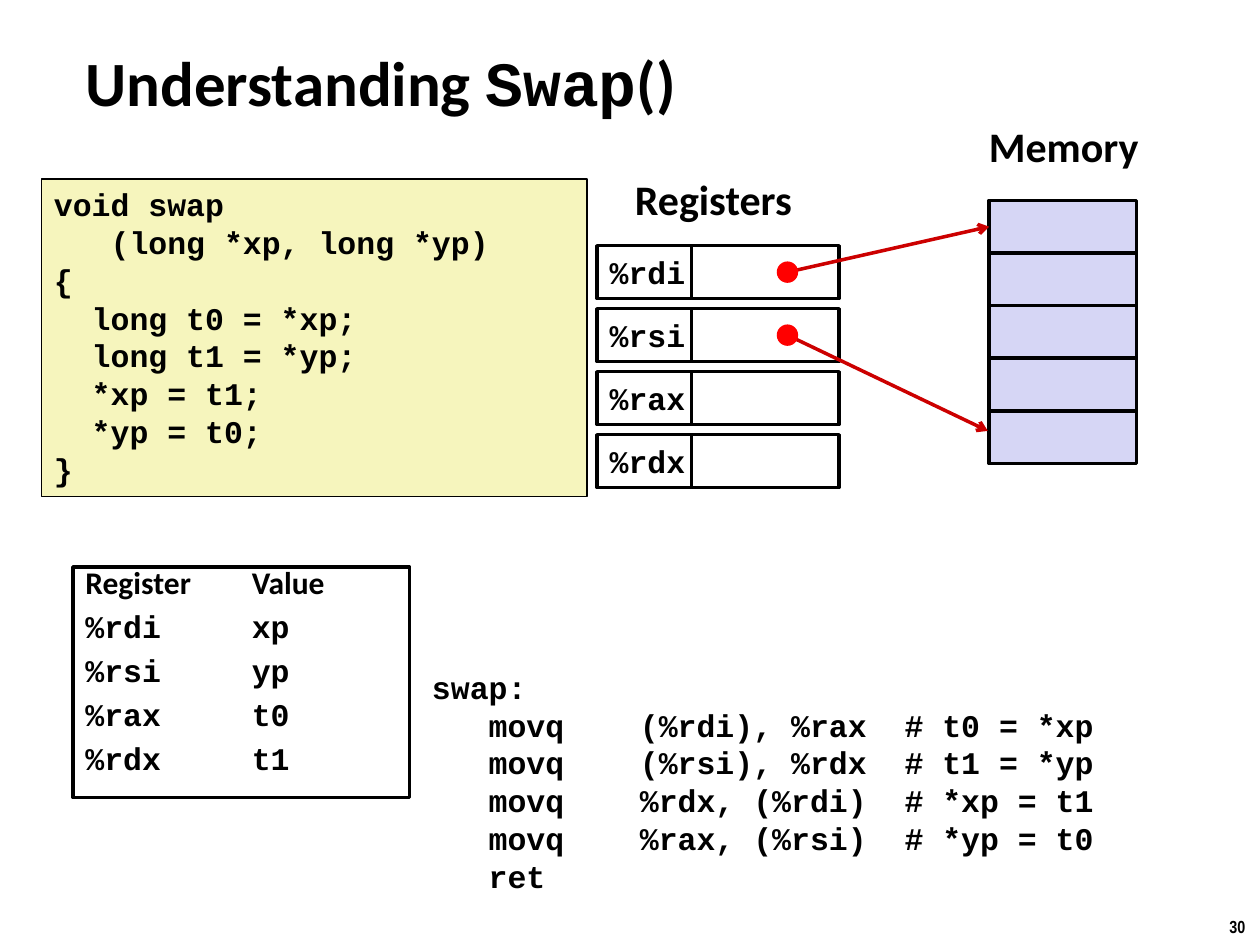
"""Build the slide that explains swap() through registers and memory."""
from lxml import etree
from pptx import Presentation
from pptx.dml.color import RGBColor
from pptx.enum.shapes import MSO_CONNECTOR, MSO_SHAPE
from pptx.enum.text import MSO_ANCHOR, PP_ALIGN
from pptx.oxml.ns import qn
from pptx.util import Inches, Pt

RECT, OVAL, LINE = MSO_SHAPE.RECTANGLE, MSO_SHAPE.OVAL, MSO_CONNECTOR.STRAIGHT
TOP, MIDDLE, LEFT = MSO_ANCHOR.TOP, MSO_ANCHOR.MIDDLE, PP_ALIGN.LEFT
SANS, MONO, SMALL = "Calibri", "Courier New", "Arial Narrow"
BLACK, WHITE, CREAM, LILAC = "000000", "FFFFFF", "F6F5BD", "D6D6F5"
RED, ROSE = "FF0000", "CC0000"

TITLE = [("Understanding ", SANS), ("Swap", MONO), ("()", SANS)]
CODE = [
    "void swap",
    "   (long *xp, long *yp)",
    "{",
    "  long t0 = *xp;",
    "  long t1 = *yp;",
    "  *xp = t1;",
    "  *yp = t0;",
    "}",
]
ASM = [
    "swap:",
    "   movq    (%rdi), %rax  # t0 = *xp",
    "   movq    (%rsi), %rdx  # t1 = *yp",
    "   movq    %rdx, (%rdi)  # *xp = t1",
    "   movq    %rax, (%rsi)  # *yp = t0",
    "   ret",
]
HEAD = ("Register", "Value")
ROLES = [("%rdi", "xp"), ("%rsi", "yp"), ("%rax", "t0"), ("%rdx", "t1")]
LABELS = [
    ("Memory", (7.75, 0.91, 1.4, 0.5), SANS, 24),
    ("Registers", (4.94, 1.33, 1.48, 0.5), SANS, 24),
    ("30", (9.66, 7.22, 0.34, 0.27), SMALL, 10),
]
CELLS, CELL_H, CELL_W = 5, 0.42, 1.17
REG_X, REG_Y, REG_W, REG_STEP = 4.74, 1.95, 0.75, 0.5
MEM_X, MEM_Y, MEM_H = 7.85, 1.59, 2.09
DOT_X, DOT = 6.25, 0.17


def color(code):
    return RGBColor.from_string(code)


def inches(box):
    return [Inches(n) for n in box]


def write(frame, lines, size, wrap=True, anchor=TOP):
    """Fill a text frame with lines, each a list of (text, font) runs."""
    frame.word_wrap = wrap
    frame.vertical_anchor = anchor
    for i, line in enumerate(lines):
        para = frame.add_paragraph() if i else frame.paragraphs[0]
        para.alignment = LEFT
        for text, face in line:
            run = para.add_run()
            run.text = text
            font = run.font
            font.name, font.size, font.bold = face, Pt(size), True
            font.color.rgb = color(BLACK)


def add_box(slide, box, fill=None, line=BLACK, width=2, kind=RECT):
    shape = slide.shapes.add_shape(kind, *inches(box))
    shape.shadow.inherit = False
    if fill:
        shape.fill.solid()
        shape.fill.fore_color.rgb = color(fill)
    else:
        shape.fill.background()
    if line:
        shape.line.color.rgb = color(line)
        shape.line.width = Pt(width)
    else:
        shape.line.fill.background()
    return shape


def add_text(slide, box, lines, size, wrap=True):
    write(slide.shapes.add_textbox(*inches(box)).text_frame, lines, size, wrap)


def add_arrow(slide, start, end):
    arrow = slide.shapes.add_connector(LINE, *inches(start + end))
    arrow.line.color.rgb = color(ROSE)
    arrow.line.width = Pt(2)
    etree.SubElement(arrow.line._get_or_add_ln(), qn("a:tailEnd"), type="arrow")
    etree.SubElement(arrow._element.spPr, qn("a:effectLst"))
    return arrow


def add_roles(slide):
    """Draw the framed list that pairs each register with its value."""
    frame = add_box(slide, (0.58, 4.5, 2.67, 1.83)).text_frame
    lines = [[("\t".join(HEAD), SANS)]]
    lines += [[("\t".join(pair), MONO)] for pair in ROLES]
    write(frame, lines, 18)
    for i, para in enumerate(frame.paragraphs):
        para.line_spacing = 0.7
        para.space_before = Pt(10 if i else 0)
        tabs = etree.SubElement(para._p.get_or_add_pPr(), qn("a:tabLst"))
        etree.SubElement(tabs, qn("a:tab"), pos=str(Inches(1.32)), algn="l")


def add_state(slide):
    """Draw registers, memory cells and the two pointers between them."""
    for i, (name, _) in enumerate(ROLES):
        y = REG_Y + i * REG_STEP
        tag = add_box(slide, (REG_X, y, REG_W, CELL_H), WHITE)
        write(tag.text_frame, [[(name, MONO)]], 18, False, MIDDLE)
        add_box(slide, (REG_X + REG_W, y, CELL_W, CELL_H), WHITE)
    step = MEM_H / CELLS
    cells = [add_box(slide, (MEM_X, MEM_Y + i * step, CELL_W, step), LILAC)
             for i in range(CELLS)]
    mids = [REG_Y + CELL_H / 2 + i * REG_STEP for i in range(2)]
    first = add_arrow(slide, (DOT_X, mids[0]), (MEM_X, MEM_Y + step / 2))
    first.end_connect(cells[0], 1)
    add_arrow(slide, (DOT_X, mids[1]), (7.84, 3.42))
    for y in mids:
        spot = (DOT_X - DOT / 2, y - DOT / 2, DOT, DOT)
        add_box(slide, spot, RED, None, kind=OVAL)


def main():
    deck = Presentation()
    deck.slide_width, deck.slide_height = Inches(10), Inches(7.5)
    slide = deck.slides.add_slide(deck.slide_layouts[5])
    title = slide.shapes.title
    title.left, title.top, title.width, title.height = inches(
        (0.58, 0.33, 6.97, 0.63))
    write(title.text_frame, [TITLE], 36, anchor=MIDDLE)
    code = add_box(slide, (0.33, 1.42, 4.33, 2.52), CREAM, width=1)
    write(code.text_frame, [[(row, MONO)] for row in CODE], 18)
    add_roles(slide)
    add_text(slide, (3.33, 5.25, 6.42, 1.92), [[(row, MONO)] for row in ASM], 18)
    for text, box, face, size in LABELS:
        add_text(slide, box, [[(text, face)]], size, False)
    add_state(slide)
    deck.save("out.pptx")


if __name__ == "__main__":
    main()
